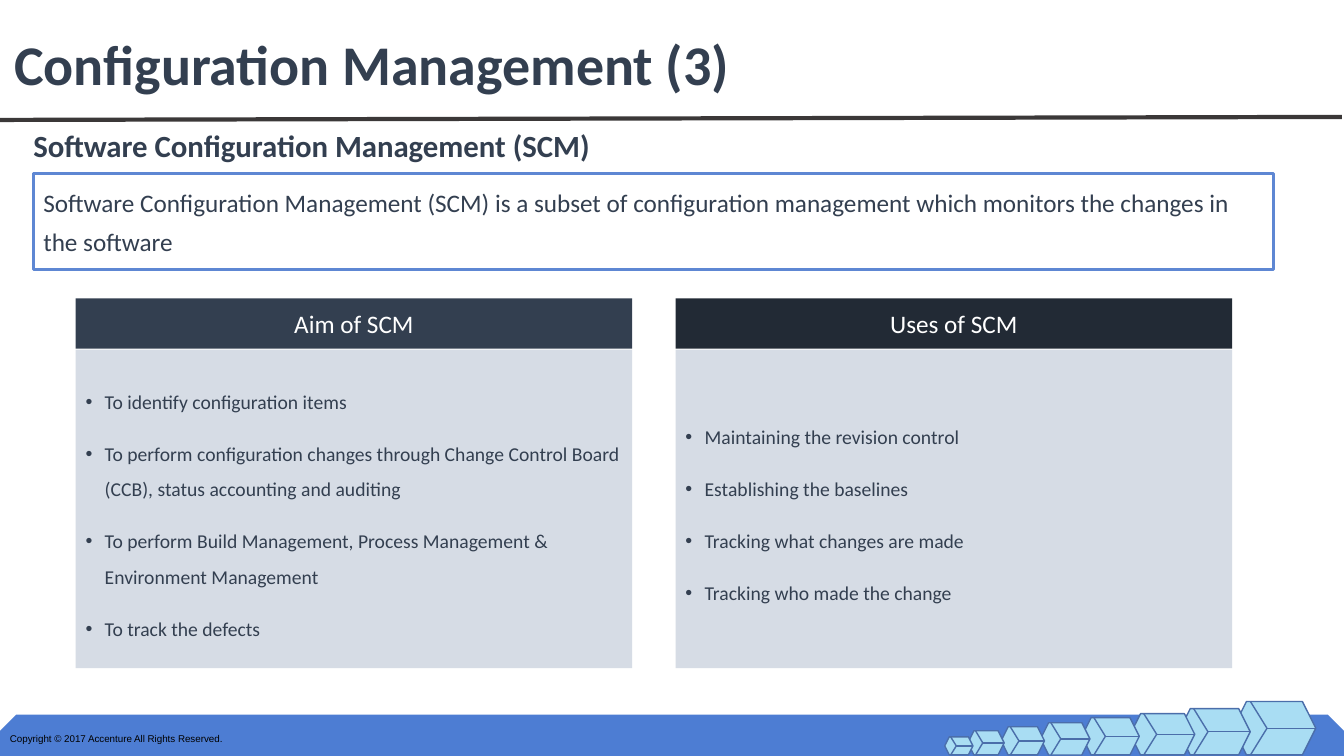
from pptx import Presentation
from pptx.dml.color import RGBColor
from pptx.enum.shapes import MSO_CONNECTOR, MSO_SHAPE
from pptx.enum.text import MSO_ANCHOR, MSO_AUTO_SIZE, PP_ALIGN
from pptx.oxml.ns import qn
from pptx.util import Emu, Pt
from lxml import etree

RECTANGLE = MSO_SHAPE.RECTANGLE
HEXAGON = MSO_SHAPE.HEXAGON
SNIPPED = MSO_SHAPE.SNIP_2_SAME_RECTANGLE
STRAIGHT = MSO_CONNECTOR.STRAIGHT
TOP, MIDDLE = MSO_ANCHOR.TOP, MSO_ANCHOR.MIDDLE
LEFT, CENTER = PP_ALIGN.LEFT, PP_ALIGN.CENTER
NO_FIT = MSO_AUTO_SIZE.NONE

SLATE = RGBColor(0x33, 0x3F, 0x50)
NAVY = RGBColor(0x22, 0x2A, 0x35)
PALE = RGBColor(0xD6, 0xDC, 0xE5)
WHITE = RGBColor(0xFF, 0xFF, 0xFF)
BLACK = RGBColor(0x00, 0x00, 0x00)
RULE = RGBColor(0x3B, 0x38, 0x38)
BAND = RGBColor(0x4D, 0x7D, 0xD3)
FRAME = RGBColor(0x5E, 0x87, 0xD3)
SKY = RGBColor(0xA9, 0xDD, 0xF3)
EDGE = RGBColor(0x4B, 0x6E, 0xAA)

EMU_PER_PX = 9144
HANGING = 19


def px(length):
    return Emu(round(length * EMU_PER_PX))


def write_text(box, lines, size, color=SLATE, font="Calibri", bold=False, align=LEFT,
               anchor=TOP, spacing=1.0, after=0, bullet=None, wrap=True):
    frame = box.text_frame
    frame.word_wrap = wrap
    frame.auto_size = NO_FIT
    frame.vertical_anchor = anchor
    for index, line in enumerate(lines):
        para = frame.add_paragraph() if index else frame.paragraphs[0]
        properties = para._p.get_or_add_pPr()
        indent = px(HANGING) if bullet else 0
        properties.set("marL", str(indent))
        properties.set("indent", str(-indent))
        if bullet:
            etree.SubElement(properties, qn("a:buFont")).set("typeface", "Arial")
            etree.SubElement(properties, qn("a:buChar")).set("char", bullet)
        else:
            etree.SubElement(properties, qn("a:buNone"))
        para.alignment = align
        para.line_spacing = spacing
        para.space_before = Pt(0)
        para.space_after = Pt(after)
        span = para.add_run()
        span.text = line
        span.font.name = font
        span.font.size = Pt(size)
        span.font.bold = bold
        span.font.color.rgb = color


class Page:
    def __init__(self, deck, layout):
        self.slide = deck.slides.add_slide(deck.slide_layouts[layout])
        self.shapes = self.slide.shapes

    def placeholder(self, index, left, top, width, height, text, **style):
        box = self.slide.placeholders[index]
        box.left, box.top, box.width, box.height = map(px, (left, top, width, height))
        write_text(box, [text], **style)
        return box

    def shape(self, kind, left, top, width, height, fill, outline=None):
        box = self.shapes.add_shape(kind, *map(px, (left, top, width, height)))
        box.shadow.inherit = False
        box.fill.solid()
        box.fill.fore_color.rgb = fill
        if outline:
            box.line.color.rgb = outline
            box.line.width = Pt(1)
        else:
            box.line.fill.background()
        return box

    def line(self, start, end, color, weight):
        connector = self.shapes.add_connector(STRAIGHT, *map(px, (*start, *end)))
        connector.line.color.rgb = color
        connector.line.width = Pt(weight)
        etree.SubElement(connector._element.spPr, qn("a:effectLst"))

    def label(self, left, top, width, height, text, **style):
        box = self.shapes.add_textbox(*map(px, (left, top, width, height)))
        write_text(box, [text], **style)

    def prism(self, left, top, width):
        bottom = 749
        self.shape(HEXAGON, left, top, width, bottom - top, SKY, EDGE)
        corner = left + width * 0.21
        hub = (left + width * 0.41, (top + bottom) / 2)
        for start in ((left + width, hub[1]), (corner, top), (corner, bottom)):
            self.line(start, hub, EDGE, 1)

    def card(self, left, heading, items, color):
        header = self.shape(RECTANGLE, left, 296, 552, 50, color)
        write_text(header, [heading], size=18, color=WHITE, align=CENTER, anchor=MIDDLE)
        panel = self.shape(RECTANGLE, left, 347, 552, 316, PALE)
        write_text(panel, items, size=14, anchor=MIDDLE, spacing=1.5, after=12, bullet="•")


PRISMS = [(1223, 696, 82), (1169, 703, 71), (1121, 708, 64), (1073, 712, 57),
          (1032, 717, 49), (993, 721, 43), (960, 725, 36), (937, 731, 28)]

CARDS = [
    ("Aim of SCM", SLATE, [
        "To identify configuration items",
        "To perform configuration changes through Change Control Board (CCB), "
        "status accounting and auditing",
        "To perform Build Management, Process Management & Environment Management",
        "To track the defects",
    ]),
    ("Uses of SCM", NAVY, [
        "Maintaining the revision control",
        "Establishing the baselines",
        "Tracking what changes are made",
        "Tracking who made the change",
    ]),
]


def main():
    deck = Presentation()
    deck.slide_width, deck.slide_height = px(1333), px(750)
    page = Page(deck, 3)

    band = page.shape(SNIPPED, 0, 709, 1333, 42, BAND)
    band.adjustments[0] = 0.382
    for prism in PRISMS:
        page.prism(*prism)
    page.line((0, 119), (1331, 116), RULE, 3)
    page.label(0, 722, 238, 22, "Copyright © 2017 Accenture All Rights Reserved.",
               size=7, color=BLACK, font="Arial", wrap=False)

    page.placeholder(0, 4, 36, 1329, 62, "Configuration Management (3)",
                     size=40, bold=True, anchor=MIDDLE, spacing=0.9)
    page.placeholder(1, 23, 125, 1241, 43, "Software Configuration Management (SCM)",
                     size=22, bold=True, spacing=0.9)
    definition = page.placeholder(
        2, 33, 172, 1230, 95,
        "Software Configuration Management (SCM) is a subset of configuration management "
        "which monitors the changes in the software",
        size=18, spacing=1.3)
    definition.line.color.rgb = FRAME
    definition.line.width = Pt(2.25)

    for column, (heading, color, items) in enumerate(CARDS):
        page.card(75 + column * 595, heading, items, color)

    deck.save("out.pptx")


if __name__ == "__main__":
    main()
